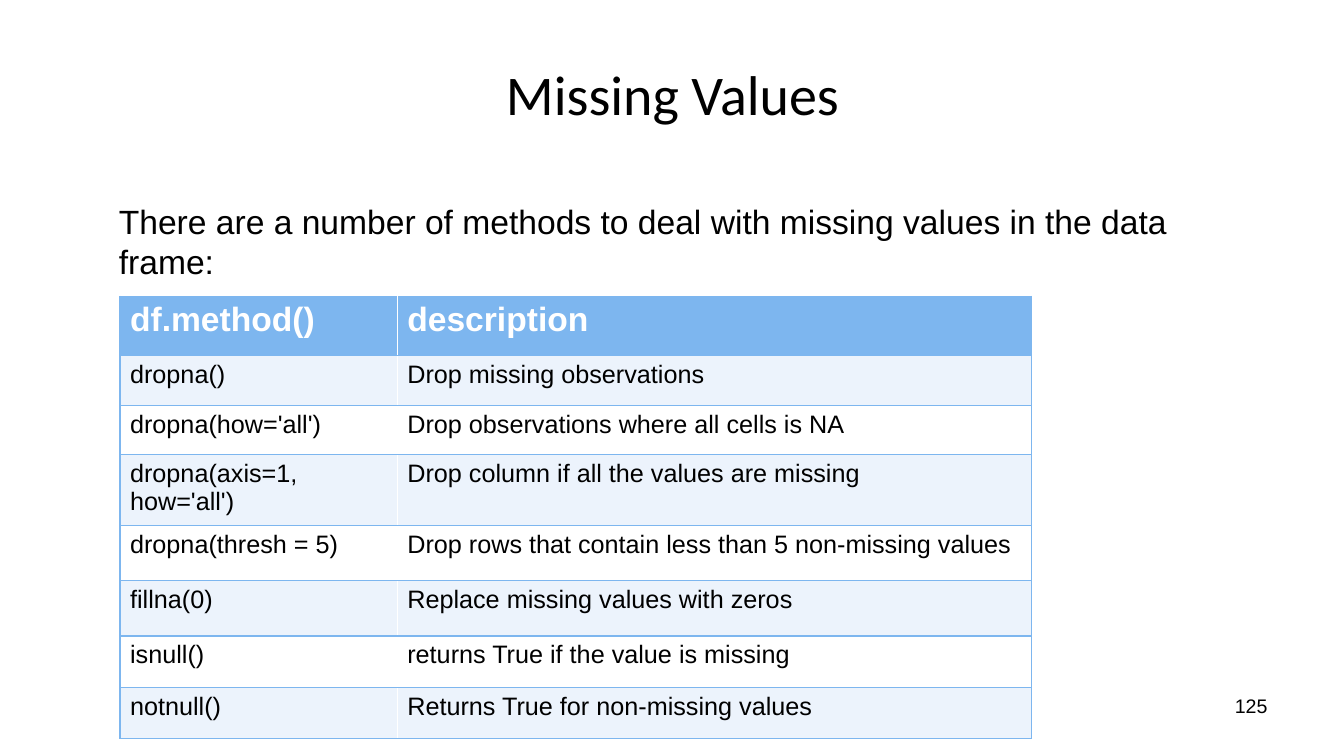
"""Build the slide on methods for missing values."""
from dataclasses import dataclass

from lxml import etree
from pptx import Presentation
from pptx.dml.color import RGBColor
from pptx.enum.text import MSO_ANCHOR, PP_ALIGN
from pptx.oxml.ns import qn
from pptx.util import Inches, Pt

LEFT, CENTER, RIGHT = PP_ALIGN.LEFT, PP_ALIGN.CENTER, PP_ALIGN.RIGHT
TOP, MIDDLE = MSO_ANCHOR.TOP, MSO_ANCHOR.MIDDLE
TITLE_ONLY = 5


@dataclass(frozen=True)
class Theme:
    heading_font: str = "Calibri"
    body_font: str = "Arial"
    ink: str = "000000"
    white: str = "FFFFFF"
    accent: str = "7DB6EF"
    band: str = "ECF3FC"
    title_size: int = 40
    lead_size: int = 24
    cell_size: int = 18
    number_size: int = 14


METHODS = [
    ("df.method()", "description"),
    ("dropna()", "Drop missing observations"),
    ("dropna(how='all')", "Drop observations where all cells is NA"),
    ("dropna(axis=1, how='all')", "Drop column if all the values are missing"),
    ("dropna(thresh = 5)", "Drop rows that contain less than 5 non-missing values"),
    ("fillna(0)", "Replace missing values with zeros"),
    ("isnull()", "returns True if the value is missing"),
    ("notnull()", "Returns True for non-missing values"),
]
COLUMN_WIDTHS = (2.75, 6.29)
ROW_HEIGHTS = (0.59, 0.49, 0.49, 0.7, 0.55, 0.55, 0.51, 0.51)


class SlideBuilder:
    def __init__(self, deck, theme):
        self.theme = theme
        self.page = deck.slides.add_slide(deck.slide_layouts[TITLE_ONLY])

    def add_span(self, frame, text, size, align=LEFT, **extra):
        para = frame.paragraphs[0]
        para.alignment = align
        span = para.add_run()
        span.text = text
        color = extra.pop("color", self.theme.ink)
        formats = {"name": self.theme.body_font, "size": Pt(size), "bold": False, **extra}
        for name, value in formats.items():
            setattr(span.font, name, value)
        span.font.color.rgb = RGBColor.from_string(color)

    def title(self, text, place):
        box = self.page.shapes.title
        for name, value in zip(("left", "top", "width", "height"), place):
            setattr(box, name, Inches(value))
        box.text_frame.vertical_anchor = MIDDLE
        self.add_span(box.text_frame, text, self.theme.title_size, CENTER,
                      name=self.theme.heading_font)

    def text(self, text, place, size, align=LEFT):
        box = self.page.shapes.add_textbox(*map(Inches, place))
        box.text_frame.word_wrap = True
        box.text_frame.vertical_anchor = TOP
        self.add_span(box.text_frame, text, size, align)

    def border(self, cell, sides):
        properties = cell._tc.get_or_add_tcPr()
        for index, side in enumerate(sides):
            line = etree.Element(qn(f"a:ln{side}"), w=str(Pt(1)))
            fill = etree.SubElement(line, qn("a:solidFill"))
            etree.SubElement(fill, qn("a:srgbClr"), val=self.theme.accent)
            properties.insert(index, line)

    def table(self, rows, left, top, widths, heights):
        theme = self.theme
        place = map(Inches, (left, top, sum(widths), sum(heights)))
        grid = self.page.shapes.add_table(len(rows), len(widths), *place).table
        for column, width in zip(grid.columns, widths):
            column.width = Inches(width)
        for row, height in zip(grid.rows, heights):
            row.height = Inches(height)
        for row_index, values in enumerate(rows):
            header = row_index == 0
            fill = theme.accent if header else (theme.white, theme.band)[row_index % 2]
            size = theme.lead_size if header else theme.cell_size
            color = theme.white if header else theme.ink
            for column_index, value in enumerate(values):
                cell = grid.cell(row_index, column_index)
                cell.fill.solid()
                cell.fill.fore_color.rgb = RGBColor.from_string(fill)
                self.border(cell, "LTB" if column_index == 0 else "RTB")
                self.add_span(cell.text_frame, value, size, color=color, bold=header)


def main():
    deck = Presentation()
    deck.slide_width, deck.slide_height = Inches(13.33), Inches(7.5)
    theme = Theme()
    slide = SlideBuilder(deck, theme)
    slide.title("Missing Values", (0.67, 0.3, 12, 1.25))
    slide.text("125", (9.56, 6.83, 3.11, 0.52), theme.number_size, RIGHT)
    slide.text("There are a number of methods to deal with missing values in the data frame:",
               (1.08, 1.94, 11.39, 0.5), theme.lead_size)
    slide.table(METHODS, 1.19, 2.94, COLUMN_WIDTHS, ROW_HEIGHTS)
    deck.save("out.pptx")


if __name__ == "__main__":
    main()
